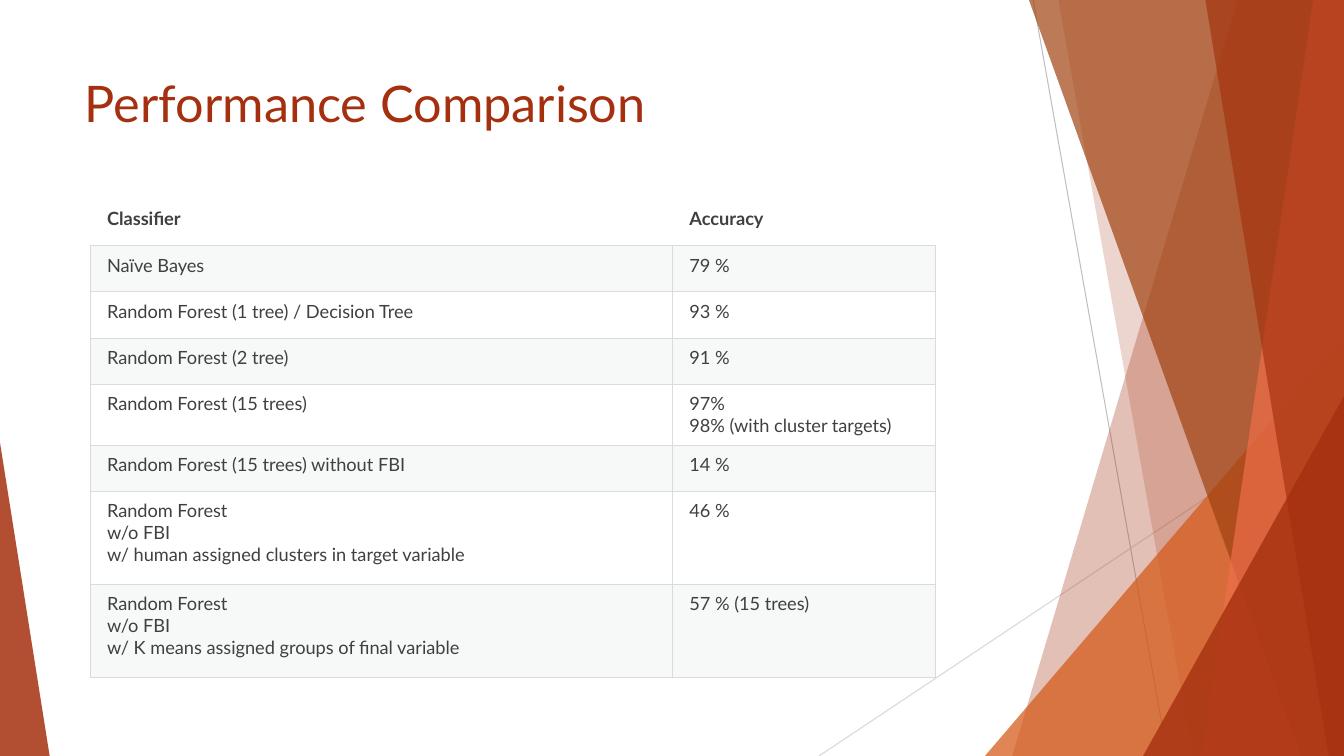
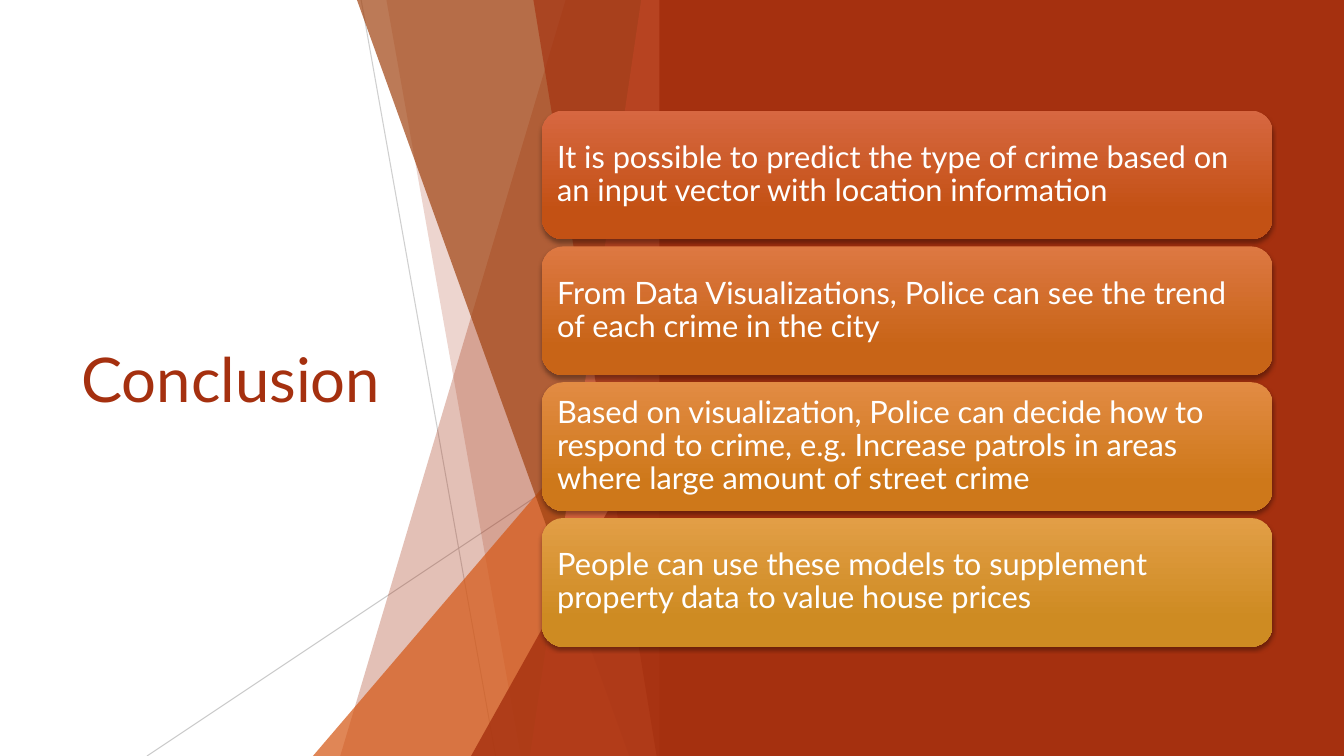
from dataclasses import dataclass

from lxml import etree
from pptx import Presentation
from pptx.dml.color import RGBColor
from pptx.enum.shapes import MSO_CONNECTOR, MSO_SHAPE
from pptx.enum.text import MSO_ANCHOR, MSO_AUTO_SIZE, PP_ALIGN
from pptx.oxml.ns import qn
from pptx.util import Pt

TOP, MIDDLE = MSO_ANCHOR.TOP, MSO_ANCHOR.MIDDLE
LEFT = PP_ALIGN.LEFT
FIXED = MSO_AUTO_SIZE.NONE
STRAIGHT = MSO_CONNECTOR.STRAIGHT
RECT, ROUND = MSO_SHAPE.RECTANGLE, MSO_SHAPE.ROUNDED_RECTANGLE
PEAK = MSO_SHAPE.ISOSCELES_TRIANGLE


@dataclass(frozen=True)
class Theme:
    face: str = "Lato"
    wide: float = 960
    high: float = 540
    red: str = "A5300F"
    orange: str = "D55816"
    brown: str = "A04210"
    coral: str = "EE6E4A"
    white: str = "FFFFFF"
    ink: str = "404040"
    grey: str = "BFBFBF"
    pale: str = "D9D9D9"
    rule: str = "D8DCDC"
    band: str = "D8DEDC"
    black: str = "000000"
    hair: float = 0.75
    head: float = 36
    hero: float = 44
    cell: float = 13
    card: float = 22


T = Theme()
FAN = 375

SLABS = [
    ("slab", 299, 138, T.red, 30),
    ("slab", 171, 267, T.red, 20),
    ("peak", 118.5, 240, T.orange, 72),
    ("slab", 150, 344.5, T.brown, 70),
    ("slab", 353, 273.5, T.coral, 70),
    ("slab", 276, 364, T.red, 65),
    ("peak", 231.5, 283, T.red, 80),
]

ROWS = [
    (33, "Classifier", "Accuracy"),
    (33, "Naïve Bayes", "79 %"),
    (33, "Random Forest (1 tree) / Decision Tree", "93 %"),
    (33, "Random Forest (2 tree)", "91 %"),
    (43.5, "Random Forest (15 trees)", "97%\n98% (with cluster targets)"),
    (33, "Random Forest (15 trees) without FBI", "14 %"),
    (66.5, "Random Forest\nw/o FBI\nw/ human assigned clusters in target variable", "46 %"),
    (66.5, "Random Forest\nw/o FBI\nw/ K means assigned groups of final variable", "57 % (15 trees)"),
]

CARDS = [
    ("D76741", "C35114", "It is possible to predict the type of crime based on an input vector with location information"),
    ("DD7842", "C86417", "From Data Visualizations, Police can see the trend of each crime in the city"),
    ("E28B43", "CE781A", "Based on visualization, Police can decide how to respond to crime, e.g. Increase patrols in areas where large amount of street crime"),
    ("E29E46", "CE8B22", "People can use these models to supplement property data to value house prices"),
]


def apply(item, vals):
    for key, val in vals.items():
        setattr(item, key, val)


def rgb(code):
    return RGBColor.from_string(code)


def points(*nums):
    return [Pt(num) for num in nums]


def node(root, tag, **vals):
    return etree.SubElement(root, qn(tag), {key: str(val) for key, val in vals.items()})


def fade(root, share):
    if share < 100:
        node(root.find(".//" + qn("a:srgbClr")), "a:alpha", val=share * 1000)


def style(para, size, color, bold=False):
    para.alignment = LEFT
    apply(para.font, {"name": T.face, "size": Pt(size), "bold": bold})
    para.font.color.rgb = rgb(color)


def flat(shape, color, share=100):
    shape.shadow.inherit = False
    shape.fill.solid()
    shape.fill.fore_color.rgb = rgb(color)
    fade(shape.element.spPr, share)
    shape.line.fill.background()


def ray(slide, ends, color, share):
    line = slide.shapes.add_connector(STRAIGHT, *points(*ends))
    line.line.width = Pt(T.hair)
    line.line.color.rgb = rgb(color)
    fade(line.element.spPr, share)
    node(line.element.spPr, "a:effectLst")


def peak(slide, box, tip, color, share):
    shape = slide.shapes.add_shape(PEAK, *points(*box))
    shape.adjustments[0] = tip
    flat(shape, color, share)


def slab(slide, top, base, right, color, share):
    dots = [(top, 0), (right, 0), (right, T.high), (base, T.high)]
    spots = [tuple(points(*dot)) for dot in dots]
    form = slide.shapes.build_freeform(*spots[0], scale=1.0)
    form.add_line_segments(spots[1:], close=True)
    flat(form.convert_to_shape(), color, share)


def fan(slide, left, tints):
    right = left + FAN
    ends = [(left + 153, 0, left + 249, T.high), (right, 290, left, T.high)]
    for end, tint in zip(ends, tints):
        ray(slide, end, *tint)
    for kind, one, two, color, share in SLABS:
        if kind == "slab":
            slab(slide, left + one, left + two, right, color, share)
        else:
            peak(slide, (left + one, two, FAN - one, T.high - two), 1, color, share)


def title(slide, box, text, size, anchor):
    shape = slide.shapes.title
    apply(shape, dict(zip(("left", "top", "width", "height"), points(*box))))
    frame = shape.text_frame
    apply(frame, {"text": text, "word_wrap": True, "auto_size": FIXED, "vertical_anchor": anchor})
    style(frame.paragraphs[0], size, T.red)


def edge(cell, sides):
    props = cell._tc.get_or_add_tcPr()
    for side in "LRTB":
        line = node(props, "a:ln" + side, w=Pt(T.hair))
        if side in sides:
            node(node(line, "a:solidFill"), "a:srgbClr", val=T.rule)
        else:
            node(line, "a:noFill")


def grid(slide, box, cols):
    frame = slide.shapes.add_table(len(ROWS), len(cols), *points(*box))
    table = frame.table
    apply(table, {"first_row": False, "horz_banding": False})
    for col, width in zip(table.columns, cols):
        col.width = Pt(width)
    pads = dict(zip(("margin_left", "margin_top", "margin_right", "margin_bottom"), points(12, 6, 6, 6)))
    for num, (height, *texts) in enumerate(ROWS):
        table.rows[num].height = Pt(height)
        for cell, text in zip(table.rows[num].cells, texts):
            apply(cell, {"text": text, "vertical_anchor": TOP, **pads})
            edge(cell, "LRTB" if num else "B")
            if num % 2:
                cell.fill.solid()
                cell.fill.fore_color.rgb = rgb(T.band)
                fade(cell._tc.tcPr.find(qn("a:solidFill")), 20)
            else:
                cell.fill.background()
            for para in cell.text_frame.paragraphs:
                style(para, T.cell, T.ink, num == 0)


def card(slide, box, tints, text):
    shape = slide.shapes.add_shape(ROUND, *points(*box))
    shape.line.fill.background()
    shape.fill.gradient()
    shape.fill.gradient_angle = 270
    for stop, spot, tint in zip(shape.fill.gradient_stops, (0, 0.78), tints):
        stop.position = spot
        stop.color.rgb = rgb(tint)
    shape.shadow.inherit = False
    glow = node(shape.element.spPr.find(qn("a:effectLst")), "a:outerShdw",
                blurRad=Pt(3), dist=Pt(2), dir=5400000, rotWithShape=0)
    node(glow, "a:srgbClr", val=T.black)
    fade(glow, 35)
    frame = shape.text_frame
    apply(frame, {"text": text, "word_wrap": True, "vertical_anchor": MIDDLE,
                  "margin_left": Pt(6.5), "margin_right": Pt(6.5),
                  "margin_top": Pt(2), "margin_bottom": Pt(2)})
    para = frame.paragraphs[0]
    para.line_spacing = 0.9
    style(para, T.card, T.white)


def stack(slide, box, gap):
    left, top, width, height = box
    tall = (height - gap * (len(CARDS) - 1)) / len(CARDS)
    for num, (light, dark, text) in enumerate(CARDS):
        card(slide, (left, top + num * (tall + gap), width, tall), (light, dark), text)


def scores(slide):
    fan(slide, T.wide - FAN, [(T.grey, 100), (T.pale, 100)])
    peak(slide, (0, 316, 35.5, 224), 0, T.red, 85)
    title(slide, (53.5, 48, 677, 104), "Performance Comparison", T.head, TOP)
    grid(slide, (64.5, 142.5, 604, 341.5), (416, 188))


def closing(slide):
    fan(slide, T.wide / 2 - FAN, [(T.grey, 75), (T.grey, 80)])
    panel = slide.shapes.add_shape(RECT, *points(471, 0, T.wide - 471, T.high))
    flat(panel, T.red)
    title(slide, (51, 109, 279, 322.5), "Conclusion", T.hero, MIDDLE)
    stack(slide, (387, 79, 522, 383), 5)


def main():
    deck = Presentation()
    apply(deck, {"slide_width": Pt(T.wide), "slide_height": Pt(T.high)})
    for build in (scores, closing):
        build(deck.slides.add_slide(deck.slide_layouts[5]))
    deck.save("out.pptx")


if __name__ == "__main__":
    main()
